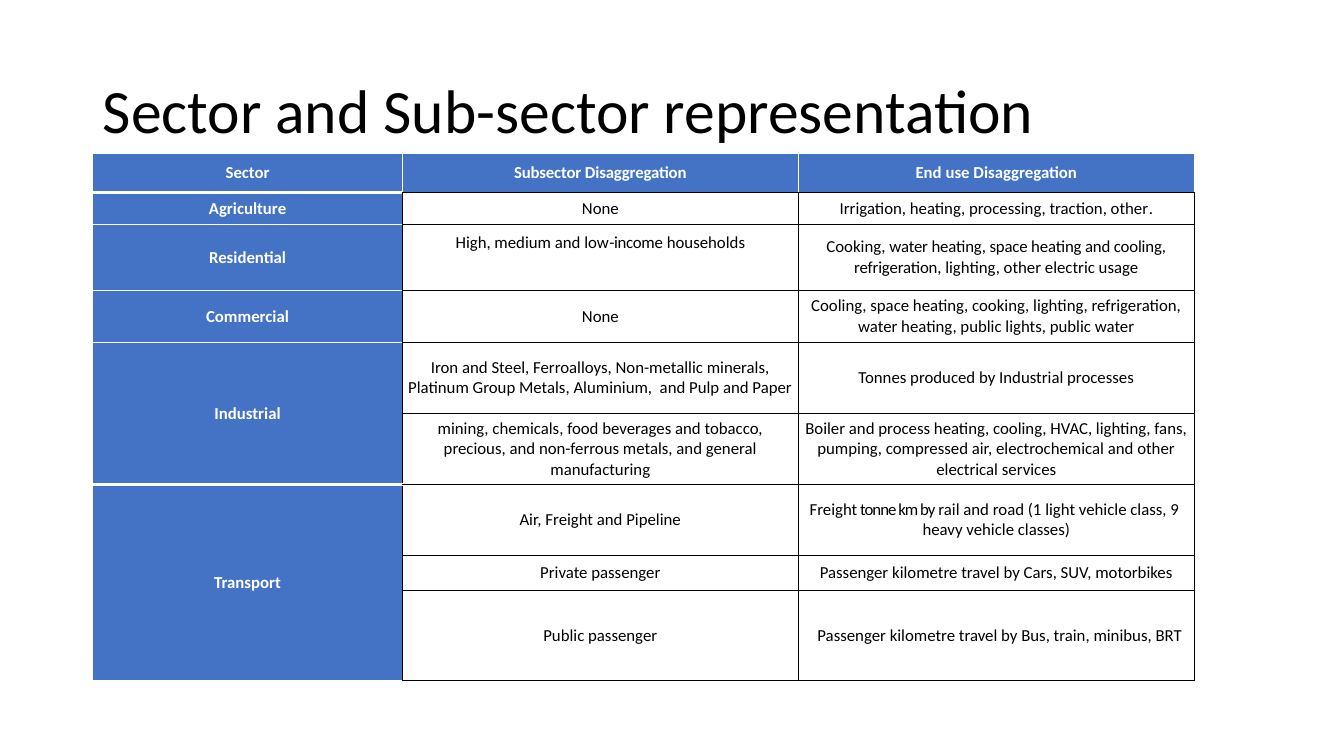
from dataclasses import dataclass

from lxml.etree import SubElement
from pptx import Presentation
from pptx.dml.color import RGBColor
from pptx.enum.text import MSO_ANCHOR, PP_ALIGN
from pptx.oxml.ns import qn
from pptx.table import _Cell
from pptx.text.text import TextFrame
from pptx.util import Cm, Pt

BLACK = RGBColor(0x00, 0x00, 0x00)
WHITE = RGBColor(0xFF, 0xFF, 0xFF)
BLUE = RGBColor(0x44, 0x72, 0xC4)
FONT = "Calibri"

COLUMN_WIDTHS = (7.8, 9.98, 9.98)
ROW_HEIGHTS = (0.99, 0.81, 1.65, 1.32, 1.78, 1.8, 1.78, 0.89, 2.26)


@dataclass(frozen=True)
class Piece:
    """A stretch of text with its letter spacing in points."""
    text: str
    spacing: float = 0


@dataclass(frozen=True)
class Entry:
    """The content of one table cell; margins are in centimetres."""
    pieces: tuple[Piece, ...]
    anchor: MSO_ANCHOR = MSO_ANCHOR.MIDDLE
    left: float = 0.13
    top: float = 0


@dataclass(frozen=True)
class Edge:
    color: RGBColor
    width: float = 1


@dataclass(frozen=True)
class Sector:
    """A sector name and its rows of subsector and end use."""
    name: str
    rows: tuple[tuple[Entry, Entry], ...]
    top_width: float = 1
    bottom_width: float = 1


def entry(text: str, **format_options) -> Entry:
    return Entry((Piece(text),), **format_options)


HEADER = (
    entry("Sector"),
    Entry((Piece("Subsector Disaggregation", -0.1),)),
    entry("End use Disaggregation"),
)

SECTORS = (
    Sector("Agriculture", ((
        entry("None"),
        Entry((Piece("Irrigation, heating, processing, traction, other"), Piece(".", -0.1))),
    ),), top_width=3),
    Sector("Residential", ((
        Entry((Piece("High, medium and low"), Piece("-income", -0.2), Piece(" households")),
              anchor=MSO_ANCHOR.TOP, top=0.2),
        Entry((Piece("Cooking,"),
               Piece(" water heating, space heating and cooling, refrigeration, ", -0.1),
               Piece("lighting, other electric usage"))),
    ),)),
    Sector("Commercial", ((
        entry("None"),
        entry("Cooling, space heating, cooking, lighting, refrigeration, "
              "water heating, public lights, public water"),
    ),)),
    Sector("Industrial", (
        (entry("Iron and Steel, Ferroalloys, Non-metallic minerals, "
               "Platinum Group Metals, Aluminium,  and Pulp and Paper"),
         entry("Tonnes produced by Industrial processes")),
        (entry("mining, chemicals, food beverages and tobacco, "
               "precious, and non-ferrous metals, and general manufacturing"),
         entry("Boiler and process heating, cooling, HVAC, lighting, fans, pumping, "
               "compressed air, electrochemical and other electrical services")),
    ), bottom_width=3),
    Sector("Transport", (
        (entry("Air, Freight and Pipeline"),
         Entry((Piece("Freight"), Piece(" tonne km by ", -0.7),
                Piece("rail and road (1 light vehicle class, 9  heavy vehicle classes)")))),
        (entry("Private passenger"),
         entry("Passenger kilometre travel by Cars, SUV, motorbikes")),
        (entry("Public passenger"),
         entry("Passenger kilometre travel by Bus, train, minibus, BRT", left=0.31)),
    ), top_width=3),
)


def write_text(frame: TextFrame, pieces: tuple[Piece, ...], *, size: float,
               color: RGBColor = BLACK, bold: bool = False,
               align: PP_ALIGN = PP_ALIGN.LEFT, space_before: float = 0,
               line_spacing: float = 1.0) -> None:
    frame.word_wrap = True
    paragraph = frame.paragraphs[0]
    paragraph.alignment = align
    paragraph.space_before = Pt(space_before)
    paragraph.line_spacing = line_spacing
    for piece in pieces:
        run = paragraph.add_run()
        run.text = piece.text
        run.font.name = FONT
        run.font.size = Pt(size)
        run.font.bold = bold
        run.font.color.rgb = color
        if piece.spacing:
            run._r.get_or_add_rPr().set("spc", str(round(piece.spacing * 100)))


def set_borders(cell: _Cell, left: Edge, right: Edge, top: Edge, bottom: Edge) -> None:
    properties = cell._tc.get_or_add_tcPr()
    edges = {"a:lnL": left, "a:lnR": right, "a:lnT": top, "a:lnB": bottom}
    for position, (tag, edge) in enumerate(edges.items()):
        line = SubElement(properties, qn(tag), w=str(Pt(edge.width)))
        fill = SubElement(line, qn("a:solidFill"))
        SubElement(fill, qn("a:srgbClr"), val=str(edge.color))
        properties.insert(position, line)


def fill_cell(cell: _Cell, content: Entry, heading: bool) -> None:
    cell.vertical_anchor = content.anchor
    cell.margin_left, cell.margin_right = Cm(content.left), Cm(0.13)
    cell.margin_top, cell.margin_bottom = Cm(content.top), Cm(0)
    if heading:
        cell.fill.solid()
        cell.fill.fore_color.rgb = BLUE
    else:
        cell.fill.background()
    write_text(cell.text_frame, content.pieces, size=12, bold=heading,
               color=WHITE if heading else BLACK,
               align=PP_ALIGN.CENTER, space_before=6)


def add_title(slide, text: str) -> None:
    title = slide.shapes.add_textbox(Cm(2.34), Cm(1.02), Cm(29.21), Cm(3.68))
    title.text_frame.vertical_anchor = MSO_ANCHOR.MIDDLE
    write_text(title.text_frame, (Piece(text),), size=44, line_spacing=0.9)


def add_sector_table(slide) -> None:
    table = slide.shapes.add_table(
        len(ROW_HEIGHTS), len(COLUMN_WIDTHS), Cm(2.34), Cm(3.86),
        Cm(sum(COLUMN_WIDTHS)), Cm(sum(ROW_HEIGHTS))).table
    table.first_row = table.horz_banding = False
    for column, width in zip(table.columns, COLUMN_WIDTHS):
        column.width = Cm(width)
    for row, height in zip(table.rows, ROW_HEIGHTS):
        row.height = Cm(height)

    white, black = Edge(WHITE), Edge(BLACK)
    for column, content in enumerate(HEADER):
        cell = table.cell(0, column)
        fill_cell(cell, content, heading=True)
        set_borders(cell, white, white, white, black if column else Edge(WHITE, 3))

    first = 1
    for sector in SECTORS:
        last = first + len(sector.rows) - 1
        fill_cell(table.cell(first, 0), entry(sector.name), heading=True)
        for row, contents in enumerate(sector.rows, first):
            set_borders(table.cell(row, 0), white, black,
                        Edge(WHITE, sector.top_width), Edge(WHITE, sector.bottom_width))
            for column, content in enumerate(contents, 1):
                cell = table.cell(row, column)
                fill_cell(cell, content, heading=False)
                set_borders(cell, black, black, black, black)
        if last > first:
            table.cell(first, 0).merge(table.cell(last, 0))
        first = last + 1


def main() -> None:
    presentation = Presentation()
    presentation.slide_width, presentation.slide_height = Cm(33.87), Cm(19.05)
    slide = presentation.slides.add_slide(presentation.slide_layouts[6])
    add_title(slide, "Sector and Sub-sector representation")
    add_sector_table(slide)
    presentation.save("out.pptx")


if __name__ == "__main__":
    main()
